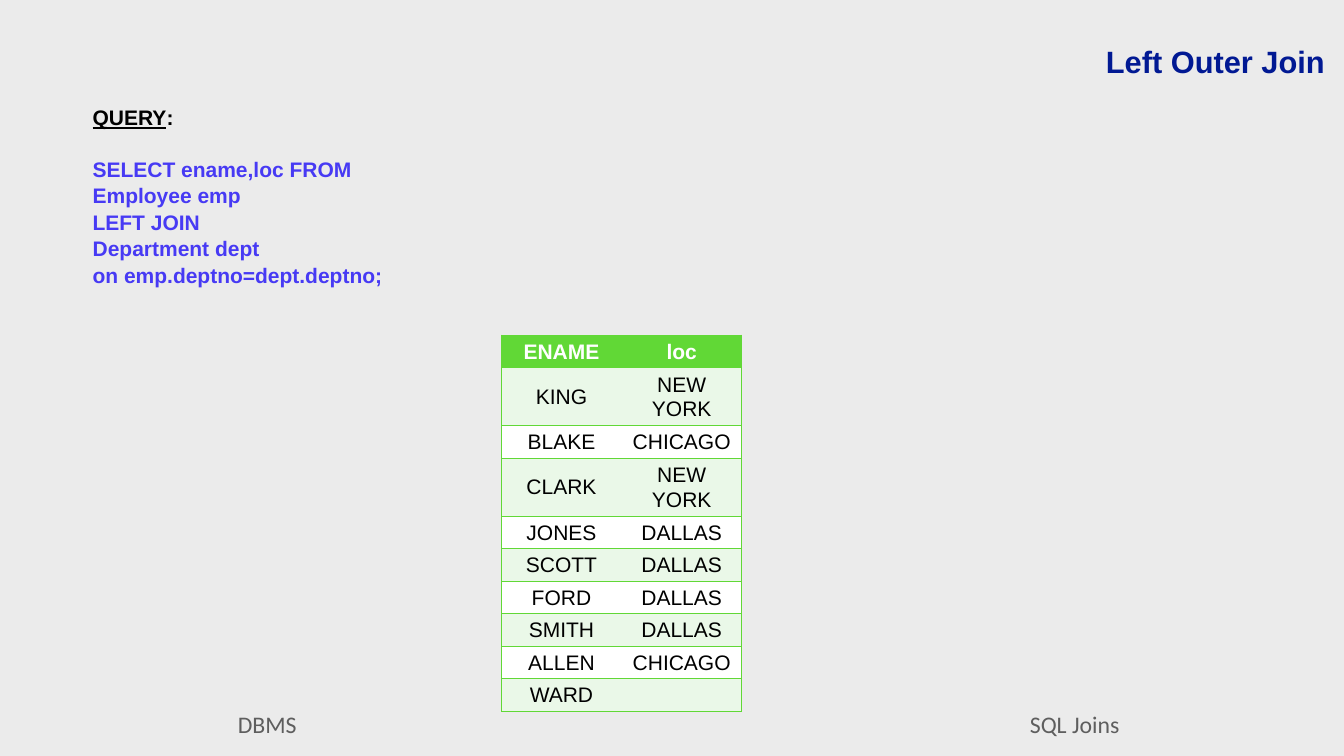
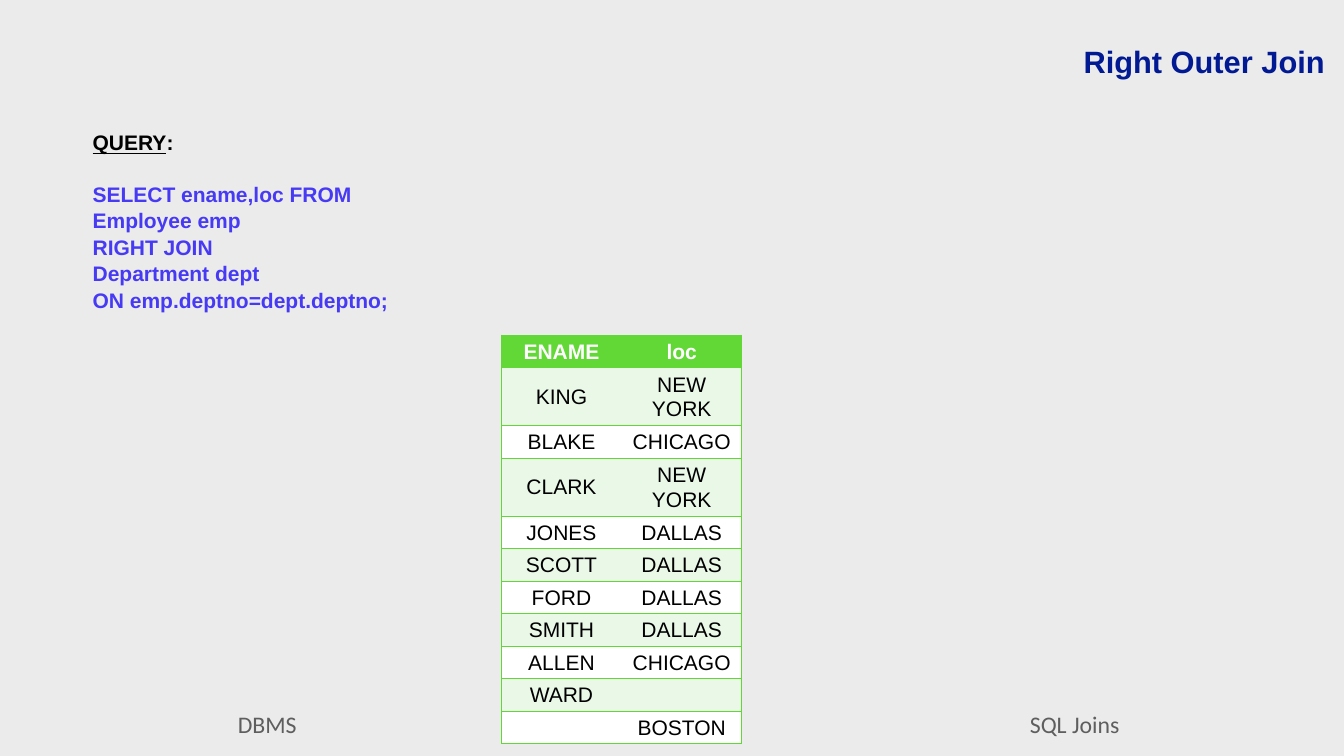
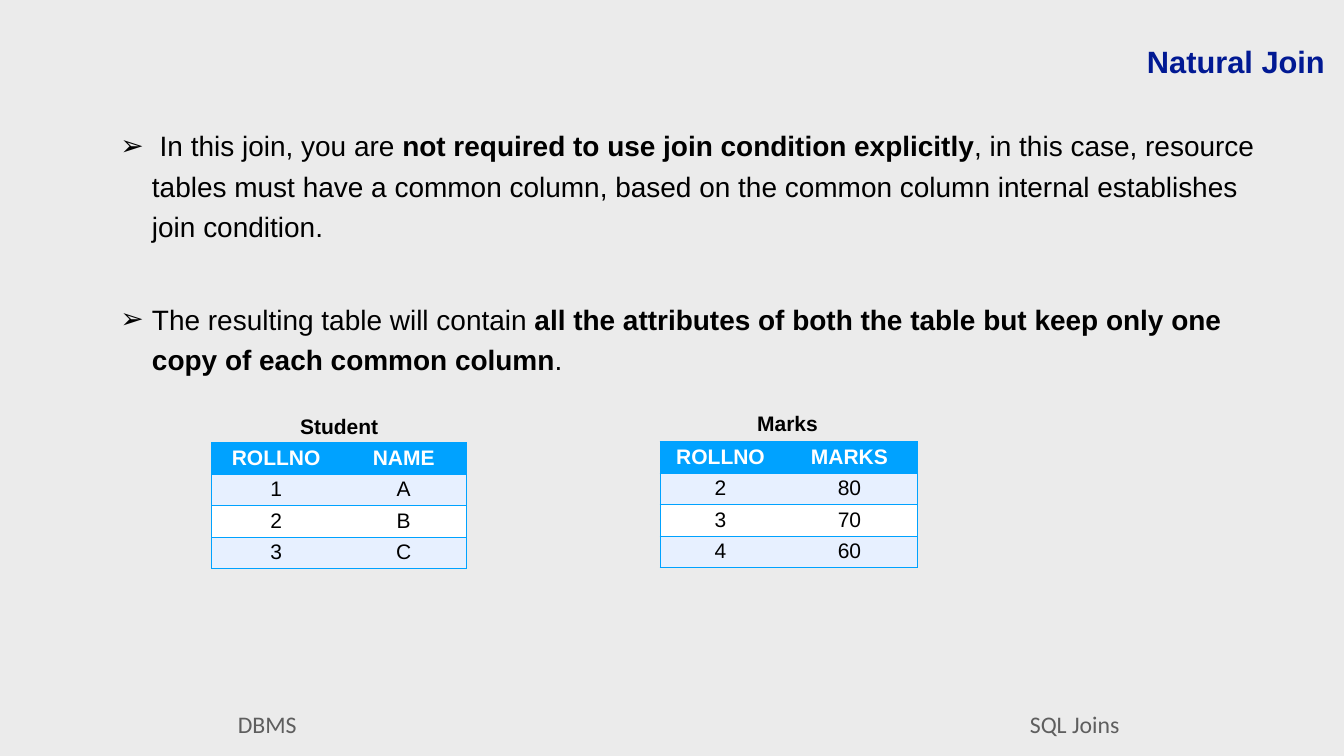
from dataclasses import dataclass

import lxml.etree
import pptx
import pptx.dml.color
import pptx.enum.shapes
import pptx.enum.text
import pptx.oxml.ns
import pptx.presentation
import pptx.shapes.autoshape
import pptx.slide
import pptx.table
import pptx.text.text
import pptx.util

EMU_PER_PX = 9525
Align = pptx.enum.text.PP_ALIGN
Anchor = pptx.enum.text.MSO_ANCHOR


@dataclass(frozen=True)
class Theme:
    background: str = "EBEBEB"
    title: str = "011993"
    text: str = "000000"
    query: str = "473AF4"
    footer: str = "5E5E5E"
    white: str = "FFFFFF"
    green: str = "61D836"
    green_band: str = "EAF8E8"
    blue: str = "00A2FF"
    blue_band: str = "E7F0FF"
    font: str = "Arial"
    footer_font: str = "Calibri"
    title_size: int = 44
    bullet_size: int = 40
    footer_size: int = 34
    body_size: int = 30
    line_spacing: float = 1.05
    bullet_spacing: float = 1.2


THEME = Theme()


@dataclass(frozen=True)
class Area:
    left: int
    top: int
    width: int
    height: int

    def emu(self) -> tuple[int, int, int, int]:
        return px(self.left), px(self.top), px(self.width), px(self.height)


@dataclass(frozen=True)
class Span:
    text: str
    size: int = THEME.body_size
    color: str = THEME.text
    bold: bool = False
    underline: bool = False
    font: str = THEME.font


@dataclass(frozen=True)
class TableLook:
    accent: str
    band: str
    row_height: int
    anchor: Anchor


@dataclass(frozen=True)
class Grid:
    left: int
    top: int
    columns: tuple[int, ...]
    rows: tuple[tuple[str, ...], ...]
    look: TableLook


@dataclass(frozen=True)
class JoinPage:
    title: str
    query: tuple[str, ...]
    query_height: int
    lead: int
    rows: tuple[tuple[str, ...], ...]


RESULT_LOOK = TableLook(THEME.green, THEME.green_band, 62, Anchor.MIDDLE)
SOURCE_LOOK = TableLook(THEME.blue, THEME.blue_band, 48, Anchor.TOP)

TITLE_AREA = Area(934, 75, 1596, 82)
FOOTERS = (("DBMS", Area(40, 1341, 938, 75)), ("SQL Joins", Area(1578, 1341, 938, 75)))
TIGHT_INSET = 6

LEFT_ROWS = (
    ("ENAME", "loc"),
    ("KING", "NEW YORK"),
    ("BLAKE", "CHICAGO"),
    ("CLARK", "NEW YORK"),
    ("JONES", "DALLAS"),
    ("SCOTT", "DALLAS"),
    ("FORD", "DALLAS"),
    ("SMITH", "DALLAS"),
    ("ALLEN", "CHICAGO"),
    ("WARD", ""),
)

JOIN_PAGES = (
    JoinPage(
        "Left Outer Join",
        ("SELECT ename,loc FROM", "Employee emp", "LEFT JOIN", "Department dept",
         "on emp.deptno=dept.deptno;"),
        349, 0, LEFT_ROWS,
    ),
    JoinPage(
        "Right Outer Join",
        ("SELECT ename,loc FROM", "Employee emp", "RIGHT JOIN", "Department dept",
         "ON emp.deptno=dept.deptno;"),
        397, 48, LEFT_ROWS + (("", "BOSTON"),),
    ),
)

NATURAL_BULLETS = (
    (
        (" ", True),
        ("In this join, you are ", False),
        ("not required to use join condition explicitly", True),
        (", in this case, resource tables must have a common column, based on the "
         "common column internal establishes join condition.", False),
    ),
    (
        ("The resulting table will contain ", False),
        ("all the attributes of both the table but keep only one copy of each "
         "common column", True),
        (". ", False),
    ),
)

SOURCE_TABLES = (
    ("Student", Area(403, 782, 486, 61),
     Grid(403, 843, (246, 240),
          (("ROLLNO", "NAME"), ("1", "A"), ("2", "B"), ("3", "C")), SOURCE_LOOK)),
    ("Marks", Area(1257, 776, 486, 61),
     Grid(1257, 841, (231, 260),
          (("ROLLNO", "MARKS"), ("2", "80"), ("3", "70"), ("4", "60")), SOURCE_LOOK)),
)


def px(length: int) -> int:
    return pptx.util.Emu(length * EMU_PER_PX)


def rgb(color: str) -> pptx.dml.color.RGBColor:
    return pptx.dml.color.RGBColor.from_string(color)


def add_span(para: pptx.text.text._Paragraph, span: Span) -> None:
    run = para.add_run()
    run.text = span.text
    run.font.name = span.font
    run.font.size = pptx.util.Pt(span.size)
    run.font.bold = span.bold
    run.font.underline = span.underline
    run.font.color.rgb = rgb(span.color)


def set_insets(frame: pptx.text.text.TextFrame, inset: int) -> None:
    frame.margin_left = frame.margin_right = px(inset)
    frame.margin_top = frame.margin_bottom = px(inset)


def add_text_box(page: pptx.slide.Slide, area: Area) -> pptx.text.text.TextFrame:
    frame = page.shapes.add_textbox(*area.emu()).text_frame
    frame.word_wrap = True
    frame.auto_size = pptx.enum.text.MSO_AUTO_SIZE.SHAPE_TO_FIT_TEXT
    return frame


def add_label(page: pptx.slide.Slide, area: Area, span: Span, align: Align) -> None:
    """Add a one-line text box, centred vertically."""
    frame = add_text_box(page, area)
    set_insets(frame, TIGHT_INSET)
    frame.vertical_anchor = Anchor.MIDDLE
    para = frame.paragraphs[0]
    para.alignment = align
    add_span(para, span)


def add_footer(page: pptx.slide.Slide, text: str, area: Area) -> None:
    box = page.shapes.add_shape(pptx.enum.shapes.MSO_SHAPE.RECTANGLE, *area.emu())
    box.shadow.inherit = False
    box.fill.solid()
    box.fill.fore_color.rgb = rgb(THEME.background)
    box.line.fill.background()
    frame = box.text_frame
    frame.word_wrap = True
    set_insets(frame, 0)
    frame.vertical_anchor = Anchor.MIDDLE
    para = frame.paragraphs[0]
    para.alignment = Align.CENTER
    add_span(para, Span(text, THEME.footer_size, THEME.footer, font=THEME.footer_font))


def set_borders(cell: pptx.table._Cell, color: str, first: bool, last: bool) -> None:
    """Rule a cell above and below, and at the outer sides of the table."""
    properties = cell._tc.get_or_add_tcPr()
    sides = (("a:lnL", first), ("a:lnR", last), ("a:lnT", True), ("a:lnB", True))
    for position, (tag, shown) in enumerate(sides):
        line = lxml.etree.Element(pptx.oxml.ns.qn(tag), w=str(pptx.util.Pt(1)))
        if shown:
            fill = lxml.etree.SubElement(line, pptx.oxml.ns.qn("a:solidFill"))
            lxml.etree.SubElement(fill, pptx.oxml.ns.qn("a:srgbClr"), val=color)
        else:
            lxml.etree.SubElement(line, pptx.oxml.ns.qn("a:noFill"))
        properties.insert(position, line)


def add_grid(page: pptx.slide.Slide, grid: Grid) -> None:
    look = grid.look
    area = Area(grid.left, grid.top, sum(grid.columns), look.row_height * len(grid.rows))
    table = page.shapes.add_table(
        len(grid.rows), len(grid.columns), *area.emu()).table
    table.horz_banding = False
    for column, width in zip(table.columns, grid.columns):
        column.width = px(width)
    last_column = len(grid.columns) - 1
    for row_index, row in enumerate(grid.rows):
        header = row_index == 0
        band = look.band if row_index % 2 else THEME.white
        for column_index, text in enumerate(row):
            cell = table.cell(row_index, column_index)
            cell.vertical_anchor = look.anchor
            cell.fill.solid()
            cell.fill.fore_color.rgb = rgb(look.accent if header else band)
            set_borders(cell, look.accent, column_index == 0, column_index == last_column)
            para = cell.text_frame.paragraphs[0]
            para.alignment = Align.CENTER
            para.line_spacing = THEME.line_spacing
            if text:
                color = THEME.white if header else THEME.text
                add_span(para, Span(text, color=color, bold=header))


def add_query(page: pptx.slide.Slide, join: JoinPage) -> None:
    frame = add_text_box(page, Area(167, 192, 2186, join.query_height))
    frame.margin_top = px(5 + join.lead)
    heading = frame.paragraphs[0]
    heading.line_spacing = THEME.line_spacing
    heading.space_after = pptx.util.Pt(36)
    add_span(heading, Span("QUERY", bold=True, underline=True))
    add_span(heading, Span(":", bold=True))
    for line in join.query:
        para = frame.add_paragraph()
        para.line_spacing = THEME.line_spacing
        add_span(para, Span(line, color=THEME.query, bold=True))


def set_bullet(para: pptx.text.text._Paragraph, mark: str, indent: int) -> None:
    properties = para._p.get_or_add_pPr()
    properties.set("marL", str(px(indent)))
    properties.set("indent", str(-px(indent)))
    lxml.etree.SubElement(properties, pptx.oxml.ns.qn("a:buFont"), typeface=THEME.font)
    lxml.etree.SubElement(properties, pptx.oxml.ns.qn("a:buChar"), char=mark)


def add_bullets(page: pptx.slide.Slide) -> None:
    frame = add_text_box(page, Area(220, 228, 2186, 483))
    for index, parts in enumerate(NATURAL_BULLETS):
        para = frame.add_paragraph() if index else frame.paragraphs[0]
        para.line_spacing = THEME.bullet_spacing
        para.space_after = pptx.util.Pt(10 if index else 75)
        set_bullet(para, "➢", 60)
        for text, bold in parts:
            add_span(para, Span(text, THEME.bullet_size, bold=bold))


def add_page(deck: pptx.presentation.Presentation, title: str) -> pptx.slide.Slide:
    """Add a blank page with the shared title and footers."""
    page = deck.slides.add_slide(deck.slide_layouts[6])
    for text, area in FOOTERS:
        add_footer(page, text, area)
    span = Span(title, THEME.title_size, THEME.title, bold=True)
    add_label(page, TITLE_AREA, span, Align.RIGHT)
    return page


def main() -> None:
    deck = pptx.Presentation()
    deck.slide_width, deck.slide_height = px(2560), px(1440)
    background = deck.slide_master.background.fill
    background.solid()
    background.fore_color.rgb = rgb(THEME.background)

    for join in JOIN_PAGES:
        page = add_page(deck, join.title)
        add_query(page, join)
        add_grid(page, Grid(955, 638, (229, 229), join.rows, RESULT_LOOK))

    page = add_page(deck, "Natural Join")
    add_bullets(page)
    for name, area, grid in SOURCE_TABLES:
        add_grid(page, grid)
        add_label(page, area, Span(name, bold=True), Align.CENTER)

    deck.save("out.pptx")


if __name__ == "__main__":
    main()
